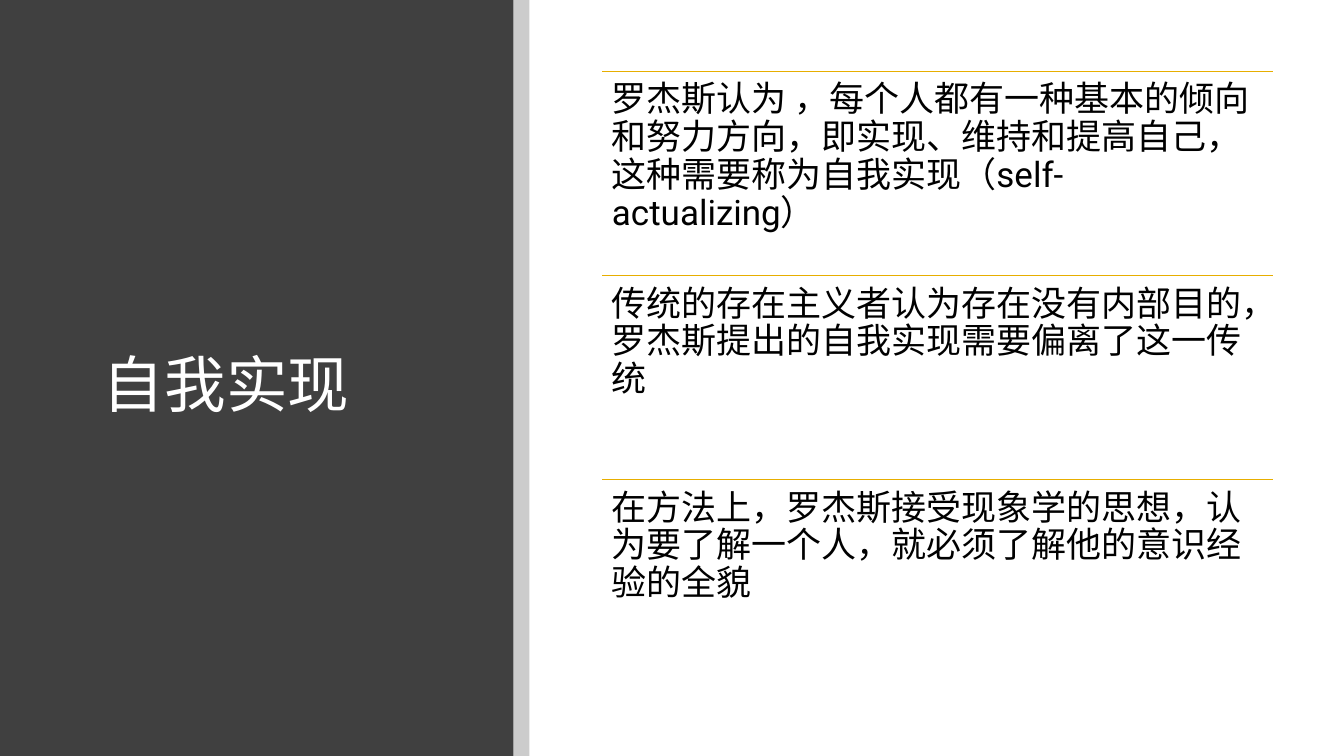
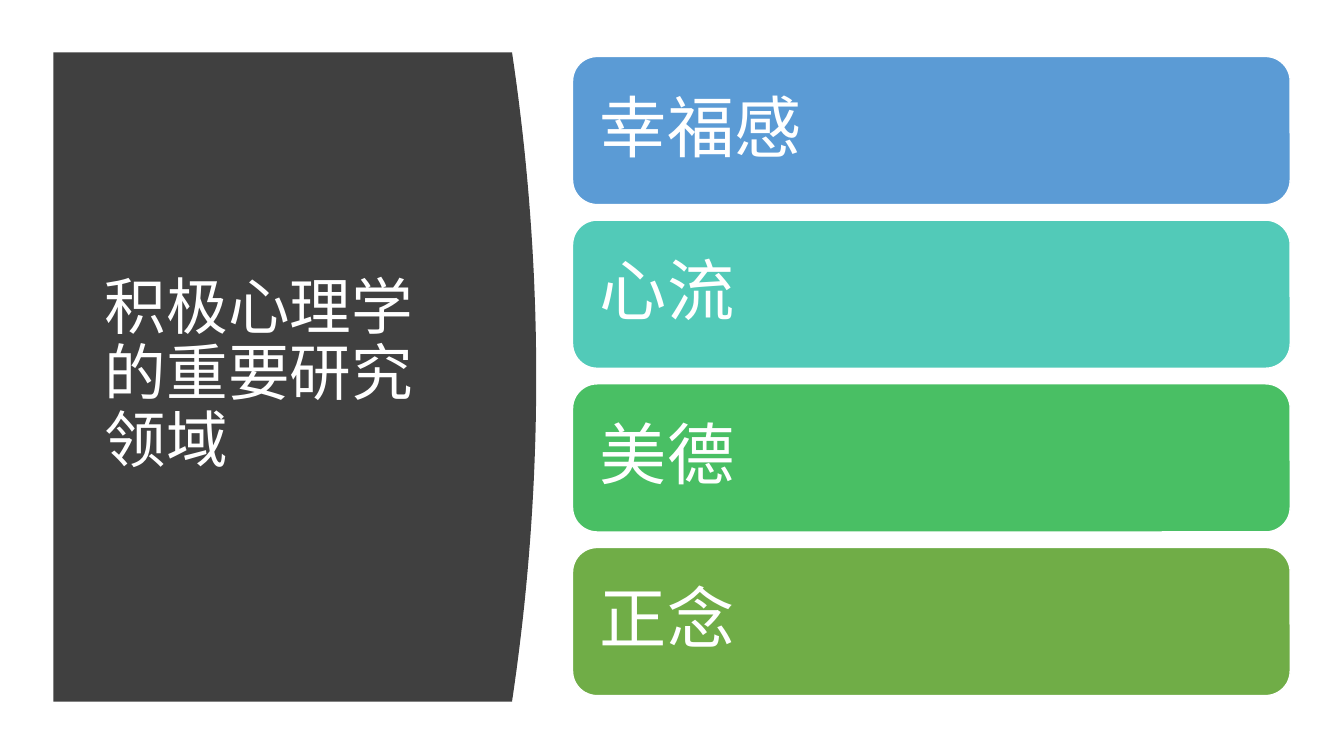
from lxml.etree import SubElement
from pptx import Presentation
from pptx.dml.color import RGBColor
from pptx.enum.shapes import MSO_CONNECTOR, MSO_SHAPE
from pptx.enum.text import MSO_ANCHOR, MSO_AUTO_SIZE, PP_ALIGN
from pptx.oxml.ns import qn
from pptx.util import Inches, Pt

WIDTH = Inches(13.33)
HEIGHT = Inches(7.5)
FONT = "Roboto"
DARK, WHITE, BLACK, GOLD = "404040", "FFFFFF", "000000", "E7AE00"
TITLE_SIZE = 44
TITLE_ONLY = 5

STATEMENTS = [
    "罗杰斯认为 ，每个人都有一种基本的倾向和努力方向，即实现、维持和提高自己，这种需要称为自我实现（self-actualizing）",
    "传统的存在主义者认为存在没有内部目的，罗杰斯提出的自我实现需要偏离了这一传统",
    "在方法上，罗杰斯接受现象学的思想，认为要了解一个人，就必须了解他的意识经验的全貌",
]
FIELDS = [
    ("幸福感", "5B9BD5"),
    ("心流", "52CAB8"),
    ("美德", "49BF64"),
    ("正念", "70AD47"),
]


def across(percent):
    return round(WIDTH * percent / 100)


def down(percent):
    return round(HEIGHT * percent / 100)


def place(left, top, width, height):
    return across(left), down(top), across(width), down(height)


def paint(color_format, color):
    color_format.rgb = RGBColor.from_string(color)


def fill_shape(shape, color):
    shape.shadow.inherit = False
    shape.fill.solid()
    paint(shape.fill.fore_color, color)
    shape.line.fill.background()


def write_text(shape, text, size, color, inset, anchor):
    frame = shape.text_frame
    frame.text = text
    frame.word_wrap = True
    frame.auto_size = MSO_AUTO_SIZE.NONE
    frame.vertical_anchor = anchor
    frame.margin_left = frame.margin_right = Inches(inset)
    frame.margin_top = frame.margin_bottom = Inches(inset)
    paragraph = frame.paragraphs[0]
    paragraph.alignment = PP_ALIGN.LEFT
    paragraph.line_spacing = 0.9
    paragraph.font.name = FONT
    paragraph.font.size = Pt(size)
    paint(paragraph.font.color, color)


def add_title(slide, text, box):
    title = slide.shapes.title
    title.left, title.top, title.width, title.height = place(*box)
    write_text(title, text, TITLE_SIZE, WHITE, 0.1, MSO_ANCHOR.MIDDLE)
    title.element.getparent().append(title.element)


def add_band(slide, box, color, opacity=100):
    band = slide.shapes.add_shape(MSO_SHAPE.RECTANGLE, *place(*box))
    fill_shape(band, color)
    if opacity < 100:
        color_element = band.element.spPr.find(qn("a:solidFill"))[0]
        SubElement(color_element, qn("a:alpha"), val=str(opacity * 1000))


def add_curved_panel(slide, left, top, right, bottom, bulge, steps=40):
    points = []
    for step in range(steps + 1):
        position = step / steps
        edge = right + bulge * (1 - (2 * position - 1) ** 2)
        points.append((across(edge), down(top + (bottom - top) * position)))
    builder = slide.shapes.build_freeform(across(left), down(top), scale=1.0)
    builder.add_line_segments(points + [(across(left), down(bottom))], close=True)
    fill_shape(builder.convert_to_shape(), DARK)


def add_rule(slide, left, top, width):
    rule = slide.shapes.add_connector(
        MSO_CONNECTOR.STRAIGHT, across(left), down(top), across(left + width), down(top)
    )
    paint(rule.line.color, GOLD)
    rule.line.width = Pt(0.5)
    SubElement(rule.element.spPr, qn("a:effectLst"))


def add_statement(slide, text, left, top, width, height):
    add_rule(slide, left, top, width)
    box = slide.shapes.add_textbox(*place(left, top, width, height))
    write_text(box, text, 25, BLACK, 0.1, MSO_ANCHOR.TOP)


def add_card(slide, text, color, box):
    card = slide.shapes.add_shape(MSO_SHAPE.ROUNDED_RECTANGLE, *place(*box))
    fill_shape(card, color)
    paint(card.line.color, WHITE)
    card.line.width = Pt(1)
    write_text(card, text, 48, WHITE, 0.2, MSO_ANCHOR.MIDDLE)


def add_slide(presentation):
    return presentation.slides.add_slide(presentation.slide_layouts[TITLE_ONLY])


def build_self_actualization(presentation):
    slide = add_slide(presentation)
    add_band(slide, (0, 0, 38.2, 100), DARK)
    add_band(slide, (38.2, 0, 1.2, 100), BLACK, opacity=20)
    add_title(slide, "自我实现", (6.9, 11.87, 27.4, 78.8))
    row_height = 27
    for row, text in enumerate(STATEMENTS):
        add_statement(slide, text, 44.8, 9.47 + row * row_height, 49.95, row_height)


def build_research_fields(presentation):
    slide = add_slide(presentation)
    add_curved_panel(slide, 3.98, 6.93, 38.1, 92.8, bulge=1.8)
    add_title(slide, "积极心理学的重要研究领域", (7.05, 14.8, 28.05, 69.87))
    card_height, gap = 19.6, 2.05
    for row, (text, color) in enumerate(FIELDS):
        top = 7.47 + row * (card_height + gap)
        add_card(slide, text, color, (42.6, top, 53.4, card_height))


def main():
    presentation = Presentation()
    presentation.slide_width = WIDTH
    presentation.slide_height = HEIGHT
    build_self_actualization(presentation)
    build_research_fields(presentation)
    presentation.save("out.pptx")


if __name__ == "__main__":
    main()
